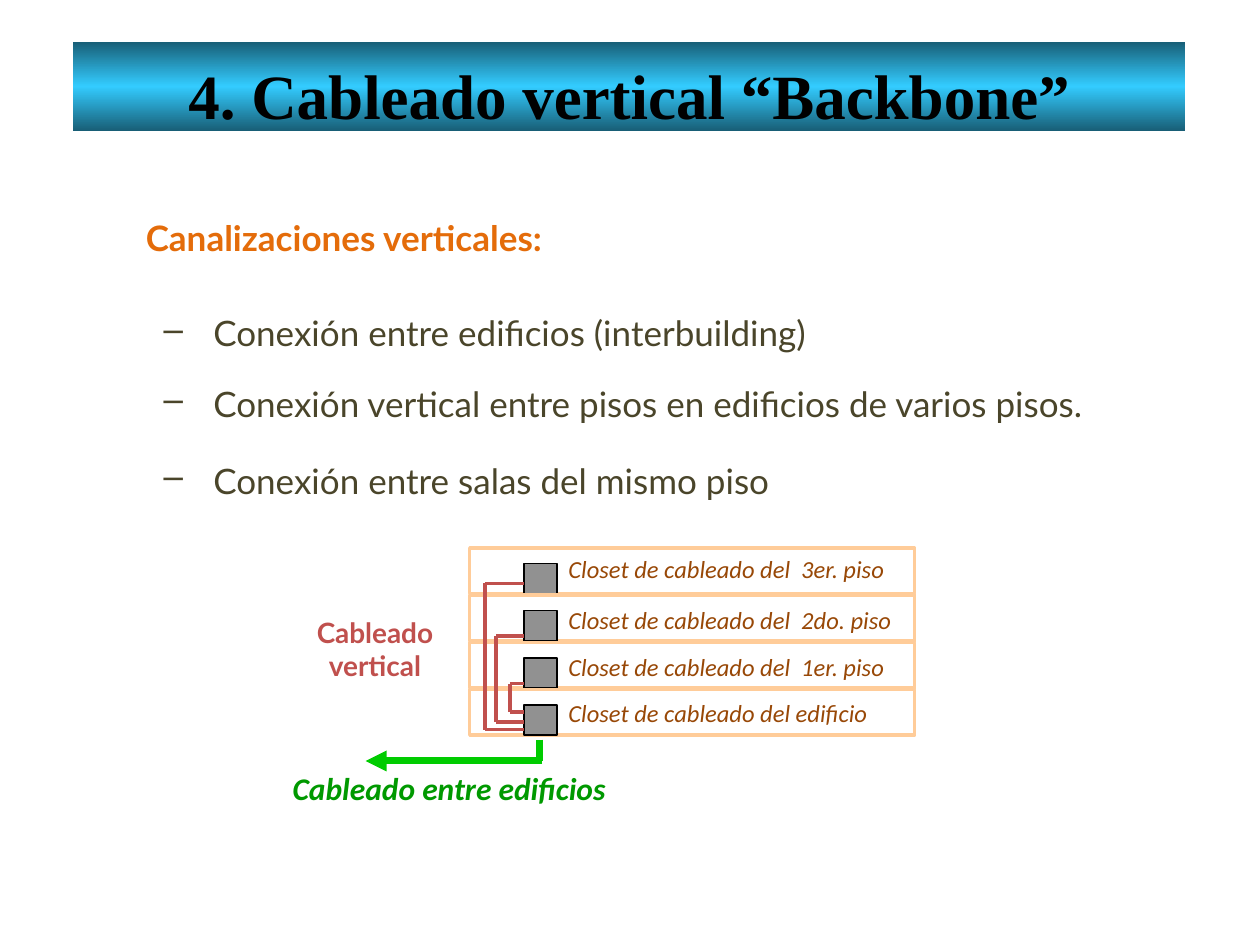
import copy
import dataclasses
import typing

import lxml.etree
import pptx
import pptx.dml.color
import pptx.enum.dml
import pptx.enum.shapes
import pptx.enum.text
import pptx.oxml.ns
import pptx.util

Cm = pptx.util.Cm
Pt = pptx.util.Pt
qn = pptx.oxml.ns.qn
RGB = pptx.dml.color.RGBColor.from_string
ALIGN = pptx.enum.text.PP_ALIGN
RECTANGLE = pptx.enum.shapes.MSO_SHAPE.RECTANGLE


@dataclasses.dataclass(frozen=True)
class TextStyle:
    font: str
    size: int
    color: str
    bold: bool = False
    italic: bool = False


@dataclasses.dataclass(frozen=True)
class Theme:
    title: TextStyle = TextStyle("Times New Roman", 36, "000000", bold=True)
    heading: TextStyle = TextStyle("Lato", 20, "E46C0A", bold=True)
    bullet: TextStyle = TextStyle("Lato", 20, "4A452A")
    closet: TextStyle = TextStyle("Calibri", 14, "984807", italic=True)
    riser: TextStyle = TextStyle("Lato", 16, "C0504D", bold=True)
    campus: TextStyle = TextStyle("Calibri", 18, "009900", bold=True, italic=True)
    title_gradient: tuple = (("185E76", 0), ("33CCFF", 50), ("185E76", 100))
    floor_line: str = "FFCC99"
    closet_fill: str = "919191"
    closet_line: str = "000000"
    riser_line: str = "C0504D"
    campus_line: str = "00CC00"


class Box(typing.NamedTuple):
    left: float
    top: float
    width: float
    height: float

    def lengths(self) -> list:
        return [Cm(value) for value in self]


class Bullet(typing.NamedTuple):
    text: str
    top: float


class Floor(typing.NamedTuple):
    label: str
    label_top: float


class Riser(typing.NamedTuple):
    x: float
    top: float
    bottom: float


THEME = Theme()

BULLETS = [
    Bullet("Conexión entre edificios (interbuilding)", 5.74),
    Bullet("Conexión vertical entre pisos en edificios de varios pisos.", 7.16),
    Bullet("Conexión entre salas del mismo piso", 8.71),
]
FLOORS = [
    Floor("Closet de cableado del  3er. piso", 11.1),
    Floor("Closet de cableado del  2do. piso", 12.14),
    Floor("Closet de cableado del  1er. piso", 13.08),
    Floor("Closet de cableado del edificio", 14.02),
]
FLOOR_PITCH = 0.95
RISERS = [Riser(9.78, 11.76, 14.71), Riser(10, 12.82, 14.55), Riser(10.28, 13.78, 14.35)]
CLOSET_LEFT = 10.57


def add_run(paragraph, text: str, style: TextStyle) -> None:
    run = paragraph.add_run()
    run.text = text
    run.font.name = style.font
    run.font.size = Pt(style.size)
    run.font.bold = style.bold
    run.font.italic = style.italic
    run.font.color.rgb = RGB(style.color)


def add_text(slide, box: Box, lines: list, style: TextStyle, align=ALIGN.LEFT,
             spacing: float = 1, bullet: str = "", compact: bool = False) -> None:
    frame = slide.shapes.add_textbox(*box.lengths()).text_frame
    frame.word_wrap = not compact
    if compact:
        frame.margin_left = frame.margin_right = Cm(0.13)
        frame.margin_top = frame.margin_bottom = Cm(0.06)
    for index, line in enumerate(lines):
        paragraph = frame.add_paragraph() if index else frame.paragraphs[0]
        paragraph.alignment = align
        paragraph.line_spacing = spacing
        if bullet:
            properties = paragraph._p.get_or_add_pPr()
            properties.set("marL", str(Cm(1)))
            properties.set("indent", str(Cm(-1)))
            lxml.etree.SubElement(properties, qn("a:buChar"), char=bullet)
        add_run(paragraph, line, style)


def add_rectangle(slide, box: Box, line: str = "", width: float = 1, fill: str = ""):
    shape = slide.shapes.add_shape(RECTANGLE, *box.lengths())
    shape.shadow.inherit = False
    if fill:
        shape.fill.solid()
        shape.fill.fore_color.rgb = RGB(fill)
    else:
        shape.fill.background()
    if line:
        shape.line.color.rgb = RGB(line)
        shape.line.width = Pt(width)
    else:
        shape.line.fill.background()
    return shape


def add_line(slide, start: tuple, end: tuple, color: str, width: float,
             arrow: bool = False) -> None:
    points = [Cm(value) for value in (*start, *end)]
    connector = slide.shapes.add_connector(
        pptx.enum.shapes.MSO_CONNECTOR.STRAIGHT, *points)
    connector.line.color.rgb = RGB(color)
    connector.line.width = Pt(width)
    if arrow:
        lxml.etree.SubElement(connector.line._get_or_add_ln(), qn("a:tailEnd"), type="triangle")
    lxml.etree.SubElement(connector._element.spPr, qn("a:effectLst"))


def add_title(slide, text: str) -> None:
    banner = add_rectangle(slide, Box(1.47, 0.84, 22.43, 1.8))
    banner.fill.gradient()
    banner.fill.gradient_angle = 90
    stop_list = banner._element.spPr.find(".//" + qn("a:gsLst"))
    stop_list.append(copy.deepcopy(stop_list[-1]))
    for stop, (color, percent) in zip(banner.fill.gradient_stops, THEME.title_gradient):
        stop.color.rgb = RGB(color)
        stop.position = percent / 100
    frame = banner.text_frame
    frame.word_wrap = True
    frame.vertical_anchor = pptx.enum.text.MSO_ANCHOR.TOP
    frame.margin_top, frame.margin_bottom = Cm(0.29), Cm(0)
    frame.paragraphs[0].alignment = ALIGN.CENTER
    add_run(frame.paragraphs[0], text, THEME.title)


presentation = pptx.Presentation()
presentation.slide_width, presentation.slide_height = Cm(25.4), Cm(19.05)
slide = presentation.slides.add_slide(presentation.slide_layouts[6])

# Title, heading and bullets
add_title(slide, "4. Cableado vertical “Backbone”")
add_text(slide, Box(2.69, 3.81, 16.43, 1.4), ["Canalizaciones verticales:"],
         THEME.heading, ALIGN.JUSTIFY, 1.5)
for item in BULLETS:
    add_text(slide, Box(3.05, item.top, 20.2, 1.4), [item.text],
             THEME.bullet, ALIGN.JUSTIFY, 1.5, bullet="–")

# Building floors with their wiring closets
for level, floor in enumerate(FLOORS):
    offset = level * FLOOR_PITCH
    add_rectangle(slide, Box(9.47, 11.05 + offset, 8.97, 0.92), THEME.floor_line, 2)
    add_rectangle(slide, Box(CLOSET_LEFT, 11.36 + offset, 0.66, 0.61),
                  THEME.closet_line, 1, THEME.closet_fill)
    add_text(slide, Box(11.33, floor.label_top, 6.8, 0.71), [floor.label],
             THEME.closet, compact=True)

# Vertical cabling between closets
for riser in RISERS:
    corners = [(CLOSET_LEFT, riser.bottom), (riser.x, riser.bottom),
               (riser.x, riser.top), (CLOSET_LEFT, riser.top)]
    for start, end in zip(corners, corners[1:]):
        add_line(slide, start, end, THEME.riser_line, 2)
add_text(slide, Box(6.15, 12.34, 2.82, 1.47), ["Cableado", "vertical"],
         THEME.riser, ALIGN.CENTER, compact=True)

# Cabling towards other buildings
add_line(slide, (10.87, 14.91), (10.87, 15.34), THEME.campus_line, 4)
add_line(slide, (10.93, 15.34), (7.37, 15.34), THEME.campus_line, 4, arrow=True)
add_text(slide, Box(5.77, 15.44, 6.88, 0.89), ["Cableado entre edificios"],
         THEME.campus, compact=True)

presentation.save("out.pptx")
